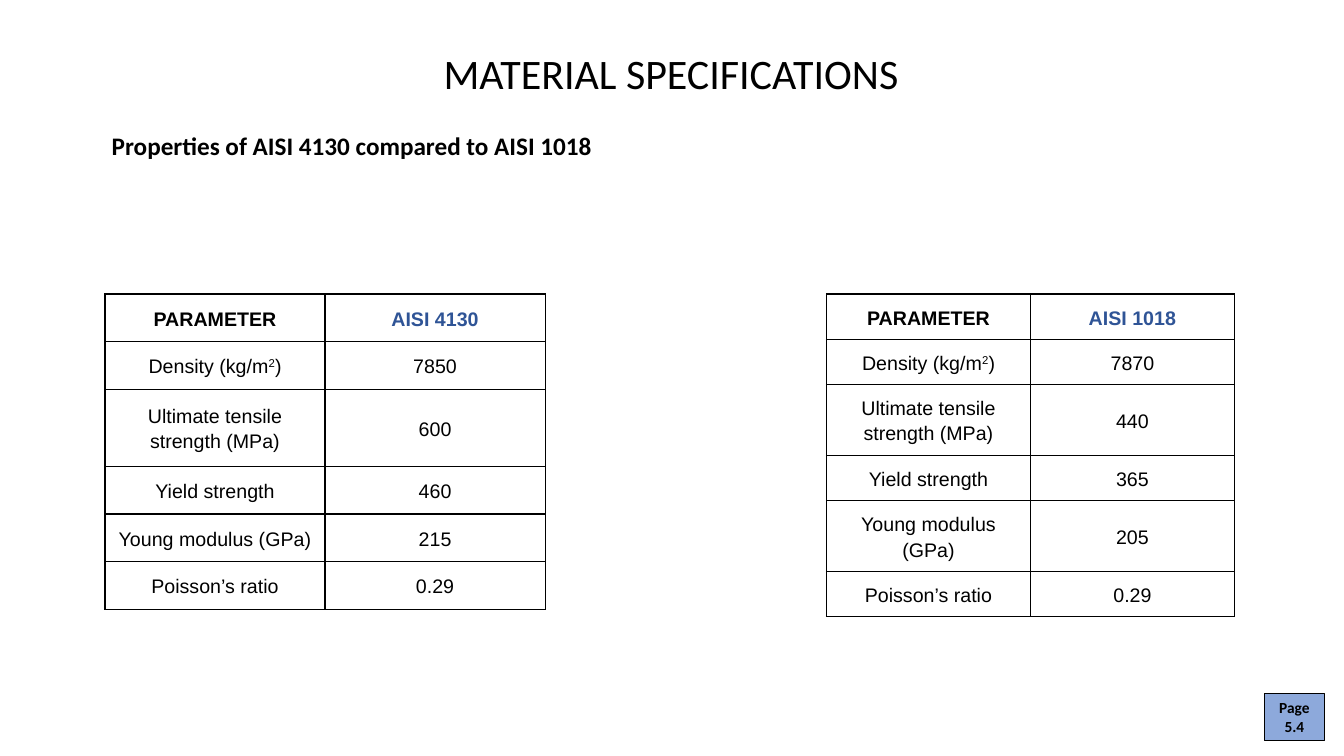
from dataclasses import dataclass

from lxml import etree
from pptx import Presentation
from pptx.dml.color import RGBColor
from pptx.enum.shapes import MSO_SHAPE
from pptx.enum.text import MSO_ANCHOR, MSO_AUTO_SIZE, PP_ALIGN
from pptx.oxml.ns import qn
from pptx.util import Pt

RECTANGLE = MSO_SHAPE.RECTANGLE
TOP, MIDDLE = MSO_ANCHOR.TOP, MSO_ANCHOR.MIDDLE
LEFT, CENTER = PP_ALIGN.LEFT, PP_ALIGN.CENTER
NO_FIT, GROW = MSO_AUTO_SIZE.NONE, MSO_AUTO_SIZE.SHAPE_TO_FIT_TEXT
TITLE_ONLY = 5


@dataclass(frozen=True)
class Theme:
    ink: str = "000000"
    grade: str = "2F5496"
    badge: str = "8DA9DB"
    text_font: str = "Calibri"
    table_font: str = "Arial"
    title_size: float = 30
    subtitle_size: float = 18
    table_size: float = 14
    badge_size: float = 11


def write(frame, text, *, size, font, color, bold=False, align=LEFT, spacing=1.0):
    """Fill the frame with one paragraph; a ² becomes a superscript 2."""
    para = frame.paragraphs[0]
    para.alignment = align
    para.line_spacing = spacing
    para.space_before = para.space_after = Pt(0)
    before, mark, after = text.partition("²")
    for part in filter(None, (before, mark, after)):
        span = para.add_run()
        span.text = "2" if part == "²" else part
        span.font.size = Pt(size)
        span.font.name = font
        span.font.bold = bold
        span.font.color.rgb = RGBColor.from_string(color)
        if part == "²":
            span.font._element.set("baseline", "30000")


def set_borders(cell, color, width):
    properties = cell._tc.get_or_add_tcPr()
    for side in ("a:lnL", "a:lnR", "a:lnT", "a:lnB"):
        line = etree.SubElement(properties, qn(side), w=str(Pt(width)))
        fill = etree.SubElement(line, qn("a:solidFill"))
        etree.SubElement(fill, qn("a:srgbClr"), val=color)


class SlideBuilder:
    def __init__(self, page, theme):
        self.page = page
        self.theme = theme

    def place(self, shape, left, top, width, height):
        shape.left, shape.top = Pt(left), Pt(top)
        shape.width, shape.height = Pt(width), Pt(height)

    def set_frame(self, frame, anchor, fit):
        frame.word_wrap = True
        frame.auto_size = fit
        frame.vertical_anchor = anchor
        frame.margin_left = frame.margin_right = Pt(7.2)
        frame.margin_top = frame.margin_bottom = Pt(3.6)

    def title(self, text, *area):
        title = self.page.shapes.title
        self.place(title, *area)
        self.set_frame(title.text_frame, MIDDLE, NO_FIT)
        write(title.text_frame, text, size=self.theme.title_size,
              font=self.theme.text_font, color=self.theme.ink, spacing=0.9)

    def subtitle(self, text, *area):
        box = self.page.shapes.add_textbox(*map(Pt, area))
        self.set_frame(box.text_frame, TOP, NO_FIT)
        write(box.text_frame, text, size=self.theme.subtitle_size, bold=True,
              font=self.theme.text_font, color=self.theme.ink, spacing=0.9)

    def table(self, rows, left, top, column_width, row_heights):
        columns = len(rows[0])
        frame = self.page.shapes.add_table(
            len(rows), columns, Pt(left), Pt(top),
            Pt(column_width * columns), Pt(sum(row_heights)))
        table = frame.table
        table.first_row = table.horz_banding = False
        for column in table.columns:
            column.width = Pt(column_width)
        for row, height in zip(table.rows, row_heights):
            row.height = Pt(height)
        for row_index, values in enumerate(rows):
            for column_index, text in enumerate(values):
                header = row_index == 0
                color = self.theme.grade if header and column_index else self.theme.ink
                self.cell(table.cell(row_index, column_index), text, color, header)

    def cell(self, cell, text, color, bold):
        set_borders(cell, self.theme.ink, 1)
        cell.fill.background()
        cell.vertical_anchor = MIDDLE
        cell.margin_left = cell.margin_right = Pt(5)
        cell.margin_top = cell.margin_bottom = Pt(7)
        write(cell.text_frame, text, size=self.theme.table_size,
              font=self.theme.table_font, color=color, bold=bold,
              align=CENTER, spacing=1.15)

    def badge(self, text, *area):
        badge = self.page.shapes.add_shape(RECTANGLE, *map(Pt, area))
        badge.shadow.inherit = False
        badge.fill.solid()
        badge.fill.fore_color.rgb = RGBColor.from_string(self.theme.badge)
        badge.line.color.rgb = RGBColor.from_string(self.theme.ink)
        badge.line.width = Pt(0.75)
        self.set_frame(badge.text_frame, TOP, GROW)
        write(badge.text_frame, text, size=self.theme.badge_size, bold=True,
              font=self.theme.text_font, color=self.theme.ink, align=CENTER)


PARAMETERS = ("PARAMETER", "Density (kg/m²)", "Ultimate tensile strength (MPa)",
              "Yield strength", "Young modulus (GPa)", "Poisson’s ratio")
AISI_4130 = ("AISI 4130", "7850", "600", "460", "215", "0.29")
AISI_1018 = ("AISI 1018", "7870", "440", "365", "205", "0.29")


def main():
    deck = Presentation()
    deck.slide_width, deck.slide_height = Pt(960), Pt(540)
    page = deck.slides.add_slide(deck.slide_layouts[TITLE_ONLY])
    builder = SlideBuilder(page, Theme())

    builder.title("MATERIAL SPECIFICATIONS", 309.6, 8.6, 341.3, 90.7)
    builder.subtitle("Properties of AISI 4130 compared to AISI 1018",
                     72.7, 92.2, 815.8, 36)
    builder.table(list(zip(PARAMETERS, AISI_4130)), 75, 210, 157.2,
                  (34, 34, 55.2, 34, 34, 34))
    builder.table(list(zip(PARAMETERS, AISI_1018)), 590.4, 210, 145.7,
                  (32.3, 32.3, 50.7, 32.3, 50.7, 32.3))
    builder.badge("Page 5.4", 902.9, 495.4, 43.4, 33.8)
    deck.save("out.pptx")


if __name__ == "__main__":
    main()
